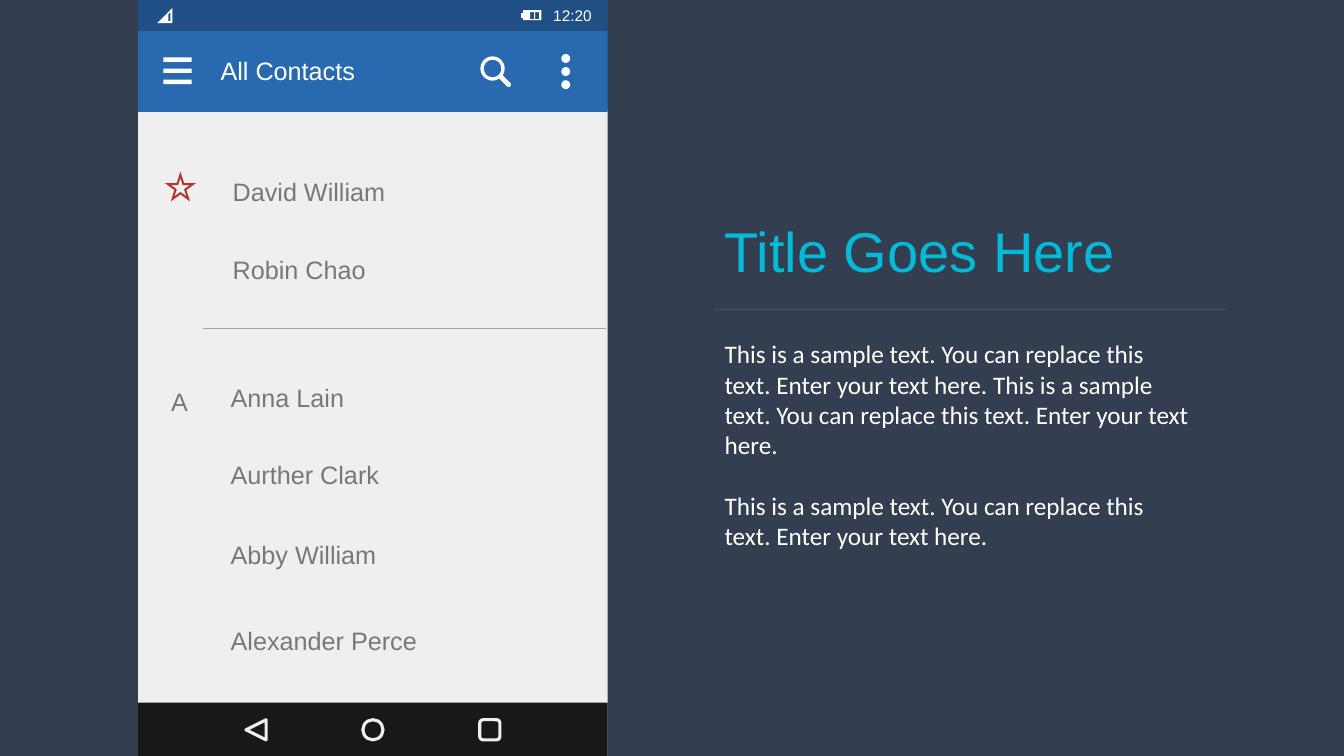
import math

from lxml import etree
from pptx import Presentation
from pptx import util as u
from pptx.dml.color import RGBColor
from pptx.enum import shapes, text
from pptx.oxml.ns import qn

CELL = u.Inches(1) / 3  # the slide is 40 columns by 22.5 rows
WHITE, PALE, GREY = "FFFFFF", "EFEFEF", "787878"


def rgb(value):
    return RGBColor.from_string(value)


def emu(*cells):
    return [u.Emu(round(c * CELL)) for c in cells]


def box(x, y, w, h):
    """Corner points of a rectangle."""
    return [(x, y), (x + w, y), (x + w, y + h), (x, y + h)]


def arc(x, y, radius, start=0, sweep=360, steps=48):
    """Points along an arc, clockwise, in degrees."""
    angles = [math.radians(start + sweep * i / steps) for i in range(steps + 1)]
    return [(x + radius * math.cos(a), y + radius * math.sin(a)) for a in angles]


def star(x, y, radius):
    """Five-pointed star with straight shoulders."""
    tips = arc(x, y, radius, -90, steps=5)[:5]
    notches = arc(x, y, radius * 0.38, -54, steps=5)[:5]
    return [point for pair in zip(tips, notches) for point in pair]


class Deck:
    """Slide under construction; all lengths are grid columns and rows."""

    def __init__(self, background):
        self.prs = Presentation()
        self.prs.slide_width, self.prs.slide_height = emu(40, 22.5)
        self.s = self.prs.slides.add_slide(self.prs.slide_layouts[5])
        self.s.background.fill.solid()
        self.s.background.fill.fore_color.rgb = rgb(background)

    def paint(self, sp, fill=None, line=None, width=2.25):
        sp.shadow.inherit = False
        if fill:
            sp.fill.solid()
            sp.fill.fore_color.rgb = rgb(fill)
        else:
            sp.fill.background()
        if line:
            sp.line.color.rgb = rgb(line)
            sp.line.width = u.Pt(width)
        else:
            sp.line.fill.background()

    def shape(self, kind, x, y, w, h, rotation=0, **style):
        sp = self.s.shapes.add_shape(kind, *emu(x, y, w, h))
        sp.rotation = rotation
        self.paint(sp, **style)

    def icon(self, contours, fill=WHITE):
        """One outline; inner contours become holes."""
        first, *others = [[emu(*point) for point in c] for c in contours]
        fb = self.s.shapes.build_freeform(*first[0])
        fb.add_line_segments(first[1:])
        for contour in others:
            fb.move_to(*contour[0])
            fb.add_line_segments(contour[1:])
        self.paint(fb.convert_to_shape(), fill)

    def line(self, x1, x2, y, color):
        cn = self.s.shapes.add_connector(shapes.MSO_CONNECTOR.STRAIGHT, *emu(x1, y, x2, y))
        cn.line.color.rgb = rgb(color)
        cn.line.width = u.Pt(0.5)
        etree.SubElement(cn._element.spPr, qn("a:effectLst"))

    def set_text(self, sp, paragraphs, size, color, font="Arial", align="LEFT", gap=0, wrap=True):
        tf = sp.text_frame
        tf.word_wrap = wrap
        tf.auto_size = text.MSO_AUTO_SIZE.SHAPE_TO_FIT_TEXT
        tf.vertical_anchor = text.MSO_ANCHOR.TOP
        for i, words in enumerate(paragraphs):
            p = tf.add_paragraph() if i else tf.paragraphs[0]
            p.alignment = text.PP_ALIGN[align]
            p.space_before = u.Pt(gap if i else 0)
            r = p.add_run()
            r.text = words
            r.font.size, r.font.name = u.Pt(size), font
            r.font.color.rgb = rgb(color)

    def title(self, x, y, w, h, words, size, color):
        sp = self.s.shapes.title
        sp.left, sp.top, sp.width, sp.height = emu(x, y, w, h)
        self.set_text(sp, [words], size, color)

    def text(self, x, y, w, h, *paragraphs, size=18, color=GREY, **style):
        self.set_text(self.s.shapes.add_textbox(*emu(x, y, w, h)), paragraphs, size, color, **style)


def status_bar(deck):
    deck.icon([[(5.13, 0.24), (5.13, 0.69), (4.68, 0.69)],
               [(5.07, 0.36), (5.01, 0.42), (5.01, 0.63), (5.07, 0.63)]])
    battery = box(15.57, 0.3, 0.54, 0.3) + [(15.57, 0.54), (15.51, 0.54), (15.51, 0.39), (15.57, 0.39)]
    deck.icon([battery] + [box(x, 0.36, 0.12, 0.21) for x in (15.78, 15.93)])
    deck.text(15.96, 0.03, 1.95, 0.87, "12:20", size=11, color=WHITE, align="RIGHT")


def app_bar(deck):
    deck.text(6.27, 1.5, 4.89, 1.2, "All Contacts", color=WHITE)
    deck.icon([box(4.86, 1.71 + 0.33 * i, 0.84, 0.13) for i in range(3)])
    handle = arc(15.14, 2.52, 0.07, -45, 180, 12)
    deck.icon([arc(14.66, 2.04, 0.36, 56, 338) + handle, arc(14.66, 2.04, 0.26)])
    deck.icon([arc(16.84, 1.74 + 0.39 * i, 0.13) for i in range(3)])


def contacts(deck):
    deck.line(6.03, 18.03, 9.78, "A6A6A6")
    deck.icon([star(5.37, 5.6, 0.49), star(5.37, 5.6, 0.3)], "B8312F")
    deck.text(4.8, 11.34, 1.11, 1.2, "A", wrap=False)
    sections = [(6.63, [("David William", 5.1), ("Robin Chao", 7.41)]),
                (6.57, [("Anna Lain", 11.22), ("Aurther Clark", 13.53),
                        ("Abby William", 15.9), ("Alexander Perce", 18.45)])]
    for x, people in sections:
        for name, y in people:
            deck.text(x, y, 6.21, 1.2, name)


def main():
    deck = Deck("333F50")
    kind = shapes.MSO_SHAPE
    for y, h, fill in [(3.27, 19.23, PALE), (0, 0.93, "1F4F84"),
                       (0.93, 2.4, "2969B0"), (20.91, 1.59, "181818")]:
        deck.shape(kind.RECTANGLE, 4.11, y, 13.98, h, fill=fill)
    status_bar(deck)
    app_bar(deck)
    buttons = [(kind.ISOSCELES_TRIANGLE, 270), (kind.OVAL, 0), (kind.ROUNDED_RECTANGLE, 0)]
    for i, (button, rotation) in enumerate(buttons):
        deck.shape(button, 7.32 + 3.48 * i, 21.42, 0.6, 0.6, rotation, line=PALE)
    contacts(deck)

    deck.title(21.27, 6.3, 15.18, 2.31, "Title Goes Here", 40, "03BAD9")
    deck.line(21.27, 36.45, 9.21, "44546A")
    sample = "This is a sample text. You can replace this text. Enter your text here."
    deck.text(21.27, 9.93, 14.43, 7.56, f"{sample} {sample}", sample,
              color=WHITE, font="Calibri", gap=22)
    deck.prs.save("out.pptx")


if __name__ == "__main__":
    main()
